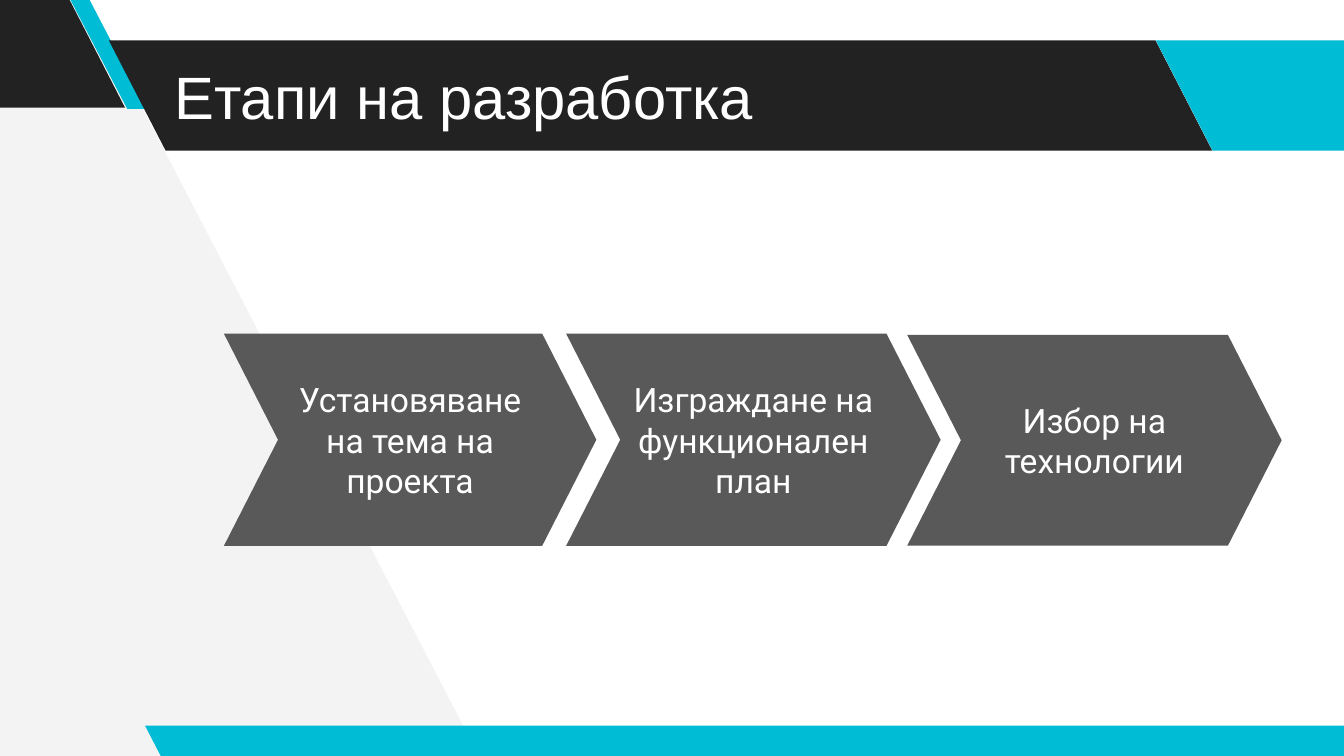
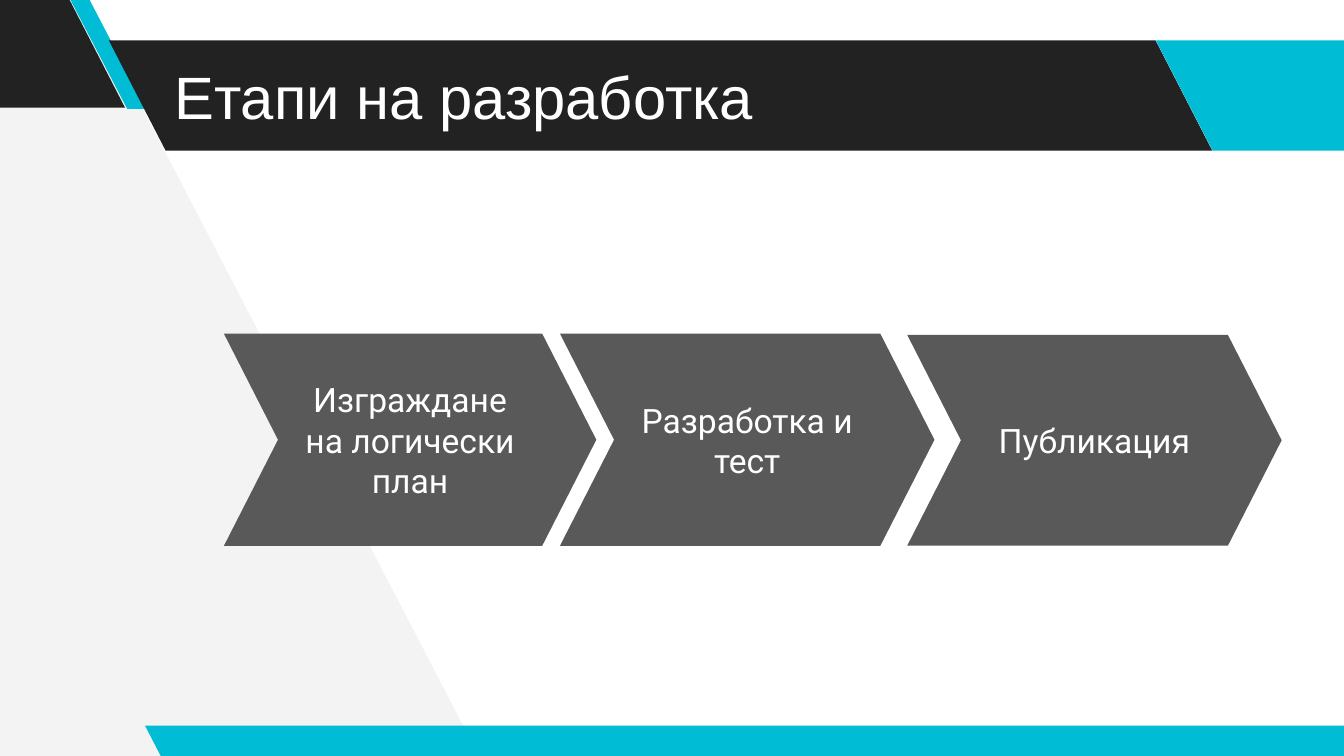
from dataclasses import dataclass

from pptx import Presentation
from pptx import util as u
from pptx.dml.color import RGBColor
from pptx.enum import shapes, text
from pptx.oxml import ns

Pt = u.Pt
KIND = shapes.MSO_SHAPE


@dataclass(frozen=True)
class Theme:
    dark: str = "222222"
    teal: str = "00BCD4"
    pale: str = "F3F3F3"
    gray: str = "595959"
    white: str = "FFFFFF"
    head: str = "Arial"
    body: str = "Roboto"
    big: int = 32
    mid: int = 18
    inset: float = 7.2
    slant: float = 0.515
    point: float = 0.255


class Deck:
    """Holds the theme and the slide being drawn."""

    def __init__(self, theme):
        self.theme = theme
        self.prs = Presentation()
        self.prs.slide_width, self.prs.slide_height = Pt(720), Pt(405)
        self.slide = None

    def page(self):
        self.slide = self.prs.slides.add_slide(self.prs.slide_layouts[6])
        fill = self.slide.background.fill
        fill.solid()
        fill.fore_color.rgb = RGBColor.from_string(self.theme.white)

    def paint(self, shape, color):
        shape.shadow.inherit = False
        shape.fill.solid()
        shape.fill.fore_color.rgb = RGBColor.from_string(color)
        shape.line.fill.background()

    def solid(self, kind, box, color, adj):
        shape = self.slide.shapes.add_shape(kind, *map(Pt, box))
        shape.adjustments[0] = adj
        self.paint(shape, color)
        return shape

    def band(self, box, color, adj=None):
        shape = self.solid(KIND.PARALLELOGRAM, box, color, adj or self.theme.slant)
        shape._element.spPr.find(ns.qn("a:xfrm")).set("flipH", "1")

    def facet(self, points, color):
        first, *rest = [(Pt(x), Pt(y)) for x, y in points]
        pen = self.slide.shapes.build_freeform(*first)
        pen.add_line_segments(rest, close=True)
        self.paint(pen.convert_to_shape(), color)

    def label(self, shape, words, font, size, align):
        frame = shape.text_frame
        frame.word_wrap = True
        frame.vertical_anchor = text.MSO_ANCHOR.MIDDLE
        frame.margin_left = frame.margin_right = Pt(self.theme.inset)
        frame.margin_top = frame.margin_bottom = Pt(self.theme.inset)
        para = frame.paragraphs[0]
        para.alignment = align
        run = para.add_run()
        run.text = words
        run.font.name, run.font.size = font, Pt(size)
        run.font.color.rgb = RGBColor.from_string(self.theme.white)

    def title(self, words):
        box = self.slide.shapes.add_textbox(*map(Pt, (86.4, 21.6, 596.16, 59.04)))
        self.label(box, words, self.theme.head, self.theme.big, text.PP_ALIGN.LEFT)

    def step(self, box, words):
        shape = self.solid(KIND.CHEVRON, box, self.theme.gray, self.theme.point)
        self.label(shape, words, self.theme.body, self.theme.mid, text.PP_ALIGN.CENTER)

    def frame(self):
        t = self.theme
        # Pale side panel
        self.facet([(256.32, 404.64), (44.64, -2.88), (-4.32, -2.88), (-1.44, 407.52)], t.pale)
        # Corner, title band and footer
        self.band((-71.28, -1.44, 138.24, 59.04), t.dark)
        self.band((37.44, -0.72, 41.04, 59.04), t.teal, 0.75)
        self.band((58.32, 21.6, 591.12, 59.04), t.dark)
        self.band((619.2, 21.6, 138.24, 59.04), t.teal)
        self.band((77.76, 388.8, 658.8, 18), t.teal)


# Steps of each slide, with the left edge of its middle chevron
TITLE = "Етапи на разработка"
PAGES = [
    (303.3, ["Установяване на тема на проекта",
             "Изграждане на функционален план",
             "Избор на технологии"]),
    (300, ["Изграждане на логически план", "Разработка и тест", "Публикация"]),
]


def main():
    deck = Deck(Theme())
    for middle, steps in PAGES:
        deck.page()
        deck.frame()
        deck.title(TITLE)
        boxes = [(120, 178.8, 199.5, 113.6),
                 (middle, 178.8, 200.6, 113.6),
                 (486, 179.4, 200.6, 113)]
        for box, words in zip(boxes, steps):
            deck.step(box, words)
    deck.prs.save("out.pptx")


if __name__ == "__main__":
    main()
